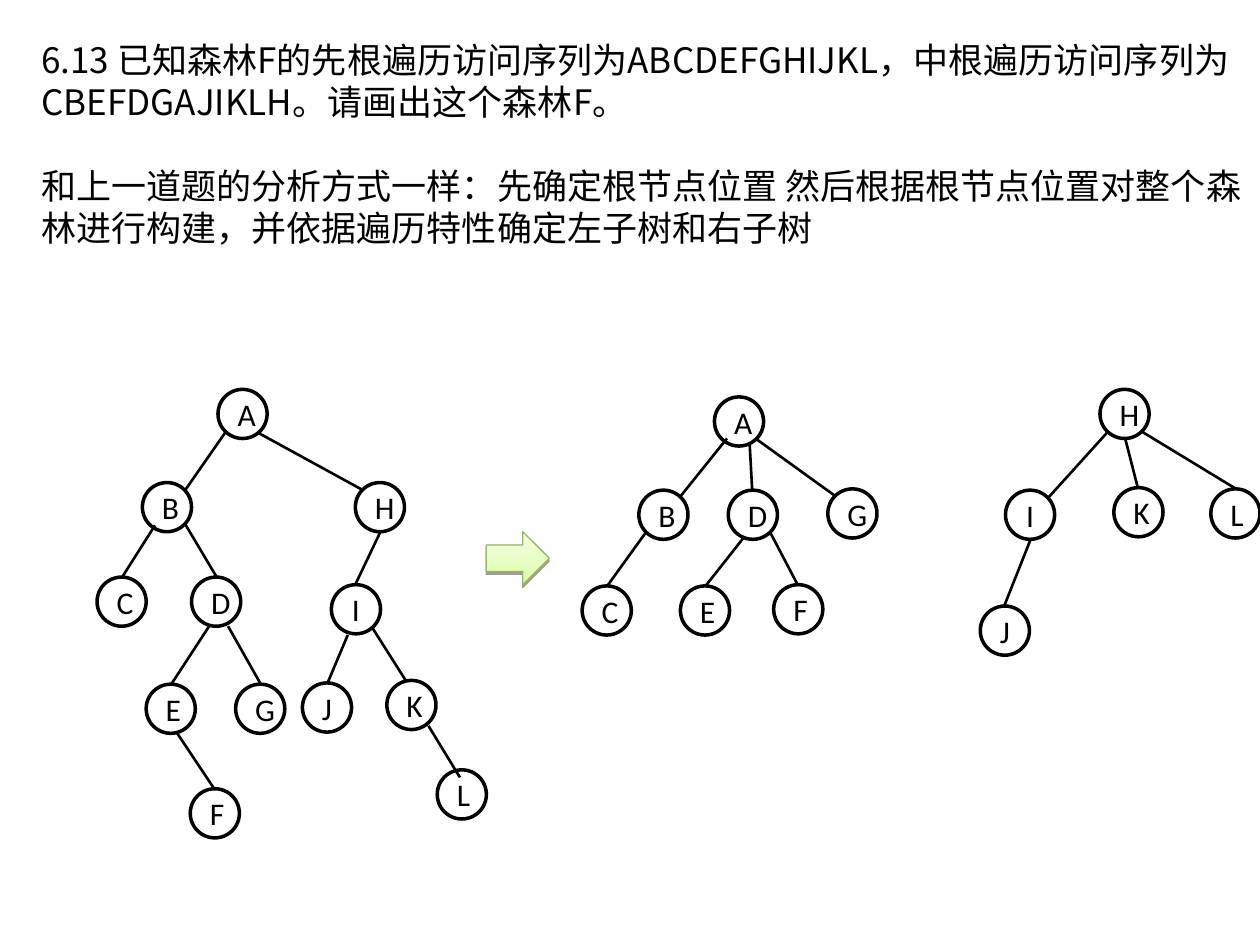
from dataclasses import dataclass
from typing import NamedTuple

from lxml import etree
from pptx import Presentation
from pptx.dml.color import RGBColor
from pptx.enum.shapes import MSO_CONNECTOR, MSO_SHAPE
from pptx.enum.text import MSO_ANCHOR, PP_ALIGN
from pptx.oxml import parse_xml
from pptx.oxml.ns import nsdecls, qn
from pptx.util import Inches, Pt

OVAL = MSO_SHAPE.OVAL
ARROW = MSO_SHAPE.RIGHT_ARROW
LINE = MSO_CONNECTOR.STRAIGHT
CENTER = PP_ALIGN.CENTER
MIDDLE = MSO_ANCHOR.MIDDLE

WIDE, HIGH = Inches(10), Inches(7.5)
COLS, ROWS = 1000, 750
SIZE = 39  # node diameter in grid cells
INK = {"black": "000000", "white": "FFFFFF", "edge": "98B954",
       "low": "DAFDA7", "top": "F5FFE6"}
LATIN, HAN = "Calibri", "Noto Sans CJK SC"


class Node(NamedTuple):
    name: str
    col: int
    row: int


class Edge(NamedTuple):
    col: int
    row: int
    to_col: int
    to_row: int


@dataclass
class Tree:
    nodes: list[Node]
    edges: list[Edge]


BINARY = Tree(
    [Node("A", 173, 309), Node("B", 113, 383), Node("C", 77, 458),
     Node("D", 152, 458), Node("H", 282, 383), Node("I", 263, 464),
     Node("K", 307, 540), Node("J", 240, 542), Node("L", 347, 611),
     Node("E", 116, 543), Node("G", 187, 543), Node("F", 151, 626)],
    [Edge(179, 343, 147, 389), Edge(123, 417, 97, 458),
     Edge(302, 422, 282, 464), Edge(147, 416, 172, 458),
     Edge(166, 497, 136, 543), Edge(276, 504, 260, 542),
     Edge(181, 497, 207, 543), Edge(140, 581, 170, 626),
     Edge(296, 499, 322, 540), Edge(340, 576, 365, 617),
     Edge(204, 343, 288, 389)])

FIRST = Tree(
    [Node("A", 567, 315), Node("B", 507, 389), Node("D", 578, 389),
     Node("G", 657, 388), Node("C", 462, 465), Node("E", 540, 465),
     Node("F", 614, 464)],
    [Edge(577, 348, 540, 394), Edge(513, 422, 482, 465),
     Edge(595, 353, 597, 389), Edge(590, 427, 560, 465),
     Edge(601, 349, 662, 393), Edge(611, 422, 633, 464)])

SECOND = Tree(
    [Node("H", 873, 309), Node("I", 798, 389), Node("L", 961, 388),
     Node("K", 884, 387), Node("J", 778, 481)],
    [Edge(879, 343, 832, 395), Edge(893, 348, 903, 387),
     Edge(818, 428, 797, 481), Edge(907, 343, 981, 388)])

TEXT = [
    "6.13 已知森林F的先根遍历访问序列为ABCDEFGHIJKL，"
    "中根遍历访问序列为CBEFDGAJIKLH。请画出这个森林F。",
    "和上一道题的分析方式一样：先确定根节点位置 然后根据根节点位置"
    "对整个森林进行构建，并依据遍历特性确定左子树和右子树",
]


def tint(name: str) -> RGBColor:
    return RGBColor.from_string(INK[name])


def grid(col: int, row: int) -> tuple[int, int]:
    """Turn grid cells into slide lengths."""
    return WIDE * col // COLS, HIGH * row // ROWS


def add_run(para, text: str, size: int, face: str) -> None:
    run = para.add_run()
    run.text = text
    font = run.font
    font.size, font.name = Pt(size), face
    font.color.rgb = tint("black")
    if face == HAN:
        etree.SubElement(run._r.get_or_add_rPr(), qn("a:ea"), typeface=face)


def add_text(slide) -> None:
    box = slide.shapes.add_textbox(*grid(23, 26), *grid(980, 210))
    frame = box.text_frame
    frame.word_wrap = True
    for i, text in enumerate(TEXT):
        para = frame.add_paragraph() if i else frame.paragraphs[0]
        para.line_spacing = Pt(24)
        para.space_before = Pt(24 * i)
        add_run(para, text, 20, HAN)


def add_node(slide, node: Node) -> None:
    disc = slide.shapes.add_shape(
        OVAL, *grid(node.col, node.row), *grid(SIZE, SIZE))
    disc.shadow.inherit = False
    disc.fill.solid()
    disc.fill.fore_color.rgb = tint("white")
    disc.line.color.rgb = tint("black")
    disc.line.width = Pt(2)
    frame = disc.text_frame
    frame.word_wrap = True
    frame.vertical_anchor = MIDDLE
    para = frame.paragraphs[0]
    para.alignment = CENTER
    add_run(para, node.name, 18, LATIN)


def add_edge(slide, edge: Edge) -> None:
    link = slide.shapes.add_connector(
        LINE, *grid(edge.col, edge.row), *grid(edge.to_col, edge.to_row))
    link.line.color.rgb = tint("black")
    link.line.width = Pt(1.5)
    etree.SubElement(link._element.spPr, qn("a:effectLst"))


def add_tree(slide, tree: Tree) -> None:
    for node in tree.nodes:
        add_node(slide, node)
    for edge in tree.edges:
        add_edge(slide, edge)


def add_arrow(slide) -> None:
    arrow = slide.shapes.add_shape(ARROW, *grid(386, 422), *grid(50, 42))
    arrow.fill.gradient()
    arrow.fill.gradient_angle = 90
    for stop, name in zip(arrow.fill.gradient_stops, ("low", "top")):
        stop.color.rgb = tint(name)
    arrow.line.color.rgb = tint("edge")
    arrow.line.width = Pt(0.75)
    arrow._element.spPr.append(parse_xml(
        f'<a:effectLst {nsdecls("a")}>'
        f'<a:outerShdw blurRad="0" dist="{Pt(1.6)}" dir="5400000">'
        f'<a:srgbClr val="{INK["black"]}"><a:alpha val="38000"/></a:srgbClr>'
        '</a:outerShdw></a:effectLst>'))


def main() -> None:
    deck = Presentation()
    deck.slide_width, deck.slide_height = WIDE, HIGH
    slide = deck.slides.add_slide(deck.slide_layouts[6])
    add_text(slide)
    for tree in (BINARY, FIRST, SECOND):
        add_tree(slide, tree)
    add_arrow(slide)
    deck.save("out.pptx")


if __name__ == "__main__":
    main()
